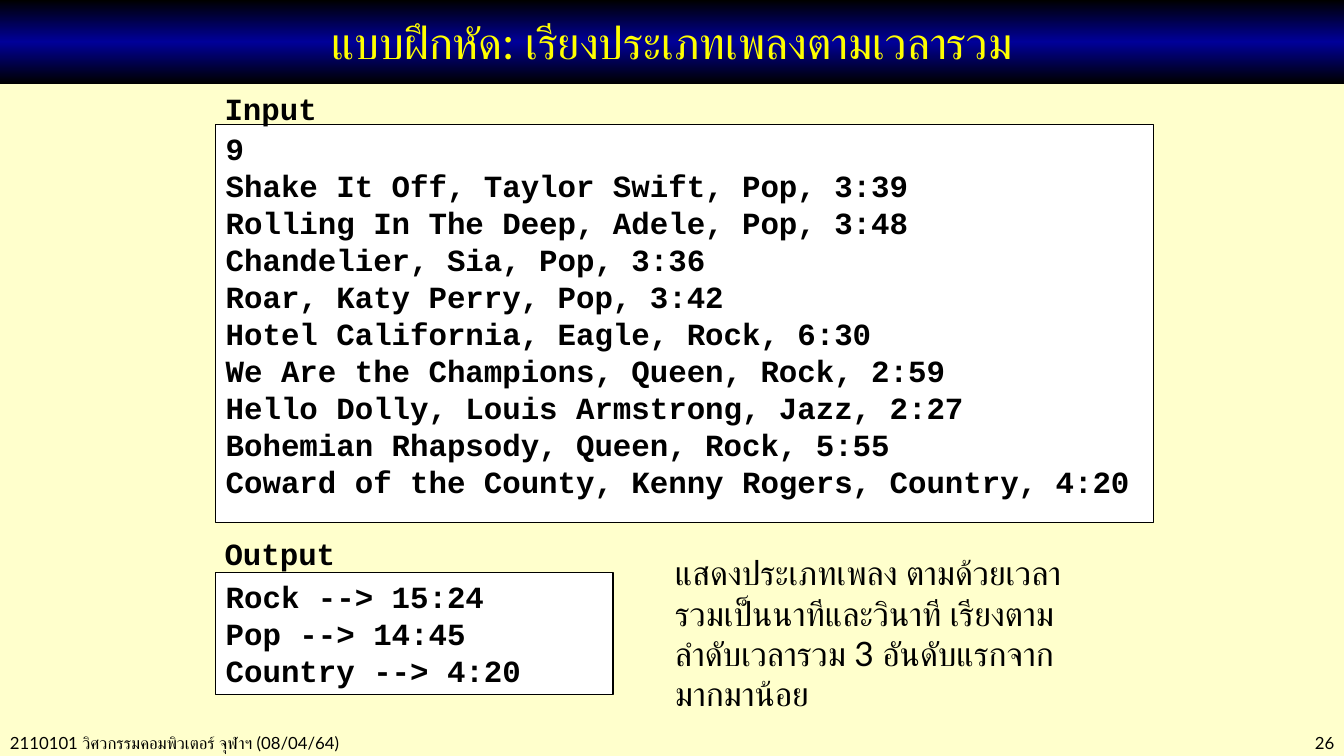
from copy import deepcopy

from pptx import Presentation
from pptx.dml.color import RGBColor
from pptx.enum.shapes import MSO_SHAPE
from pptx.enum.text import MSO_ANCHOR, MSO_AUTO_SIZE, PP_ALIGN
from pptx.util import Cm, Pt

CREAM = RGBColor(0xFF, 0xFF, 0xCC)
BLACK = RGBColor(0x00, 0x00, 0x00)
WHITE = RGBColor(0xFF, 0xFF, 0xFF)
NAVY = RGBColor(0x00, 0x00, 0x99)
YELLOW = RGBColor(0xFF, 0xFF, 0x00)

TEXT_FONT = "Lato"
CODE_FONT = "Courier New"

SONGS = [
    "9",
    "Shake It Off, Taylor Swift, Pop, 3:39",
    "Rolling In The Deep, Adele, Pop, 3:48",
    "Chandelier, Sia, Pop, 3:36",
    "Roar, Katy Perry, Pop, 3:42",
    "Hotel California, Eagle, Rock, 6:30",
    "We Are the Champions, Queen, Rock, 2:59",
    "Hello Dolly, Louis Armstrong, Jazz, 2:27",
    "Bohemian Rhapsody, Queen, Rock, 5:55",
    "Coward of the County, Kenny Rogers, Country, 4:20",
]
TOTALS = ["Rock --> 15:24", "Pop --> 14:45", "Country --> 4:20"]


def place(box):
    """Convert left, top, width and height from centimetres."""
    return [Cm(length) for length in box]


def add_run(paragraph, text, size, font=TEXT_FONT, color=BLACK):
    """Add one styled run, bold when it is code."""
    run = paragraph.add_run()
    run.text = text
    run.font.name = font
    run.font.size = Pt(size)
    run.font.bold = font == CODE_FONT
    run.font.color.rgb = color


def add_text(slide, box, text, size, font=TEXT_FONT, align=PP_ALIGN.LEFT):
    """Add a wrapped text box with a single run."""
    frame = slide.shapes.add_textbox(*place(box)).text_frame
    frame.word_wrap = True
    frame.auto_size = MSO_AUTO_SIZE.SHAPE_TO_FIT_TEXT
    paragraph = frame.paragraphs[0]
    paragraph.alignment = align
    add_run(paragraph, text, size, font)


def add_rectangle(slide, box):
    """Add a rectangle without a shadow."""
    shape = slide.shapes.add_shape(MSO_SHAPE.RECTANGLE, *place(box))
    shape.shadow.inherit = False
    return shape


def add_title_bar(slide, box, text):
    """Add the title on a black, navy, black gradient."""
    shape = add_rectangle(slide, box)
    shape.line.fill.background()
    shape.fill.gradient()
    shape.fill.gradient_angle = 270
    first_stop = shape.fill.gradient_stops[0]
    first_stop.color.rgb = BLACK
    stop_list = shape.element.spPr.find(".//{*}gsLst")
    stop_list.insert(1, deepcopy(stop_list[0]))
    for index, color in enumerate((BLACK, NAVY, BLACK)):
        stop = shape.fill.gradient_stops[index]
        stop.color.rgb = color
        stop.position = index / 2
    frame = shape.text_frame
    frame.word_wrap = True
    frame.vertical_anchor = MSO_ANCHOR.MIDDLE
    frame.paragraphs[0].alignment = PP_ALIGN.CENTER
    add_run(frame.paragraphs[0], text, 32, color=YELLOW)


def add_code_box(slide, box, paragraphs, space_after=0):
    """Add an outlined white box; each paragraph is a list of lines."""
    shape = add_rectangle(slide, box)
    shape.fill.solid()
    shape.fill.fore_color.rgb = WHITE
    shape.line.color.rgb = BLACK
    shape.line.width = Pt(0.75)
    frame = shape.text_frame
    frame.word_wrap = True
    frame.auto_size = MSO_AUTO_SIZE.SHAPE_TO_FIT_TEXT
    frame.vertical_anchor = MSO_ANCHOR.TOP
    for index, lines in enumerate(paragraphs):
        paragraph = frame.add_paragraph() if index else frame.paragraphs[0]
        paragraph.alignment = PP_ALIGN.LEFT
        paragraph.space_after = Pt(space_after)
        for number, line in enumerate(lines):
            if number:
                paragraph.add_line_break()
            add_run(paragraph, line, 22, CODE_FONT)


def main():
    """Build the exercise slide and save it."""
    presentation = Presentation()
    presentation.slide_width = Cm(33.87)
    presentation.slide_height = Cm(19.05)
    slide = presentation.slides.add_slide(presentation.slide_layouts[6])
    slide.background.fill.solid()
    slide.background.fill.fore_color.rgb = CREAM

    add_text(slide, (0, 18.34, 13.21, 0.76),
             "2110101 วิศวกรรมคอมพิวเตอร์ จุฬาฯ (08/04/64)", 12)
    add_text(slide, (29.21, 18.34, 4.67, 0.76), "26", 12, align=PP_ALIGN.RIGHT)
    add_title_bar(slide, (0, 0, 33.87, 2.11),
                  "แบบฝึกหัด: เรียงประเภทเพลงตามเวลารวม")
    add_code_box(slide, (5.44, 3.15, 23.62, 10.01), [SONGS], space_after=10)
    add_code_box(slide, (5.44, 14.43, 10.01, 3.07), [[total] for total in TOTALS])
    add_text(slide, (5.41, 2.13, 3.23, 1.19), "Input", 22, CODE_FONT)
    add_text(slide, (5.41, 13.34, 3.96, 1.19), "Output", 22, CODE_FONT)
    add_text(slide, (16.76, 13.79, 10.52, 4.37),
             "แสดงประเภทเพลง ตามด้วยเวลารวมเป็นนาทีและวินาที "
             "เรียงตามลำดับเวลารวม 3 อันดับแรกจากมากมาน้อย", 24)
    presentation.save("out.pptx")


if __name__ == "__main__":
    main()
